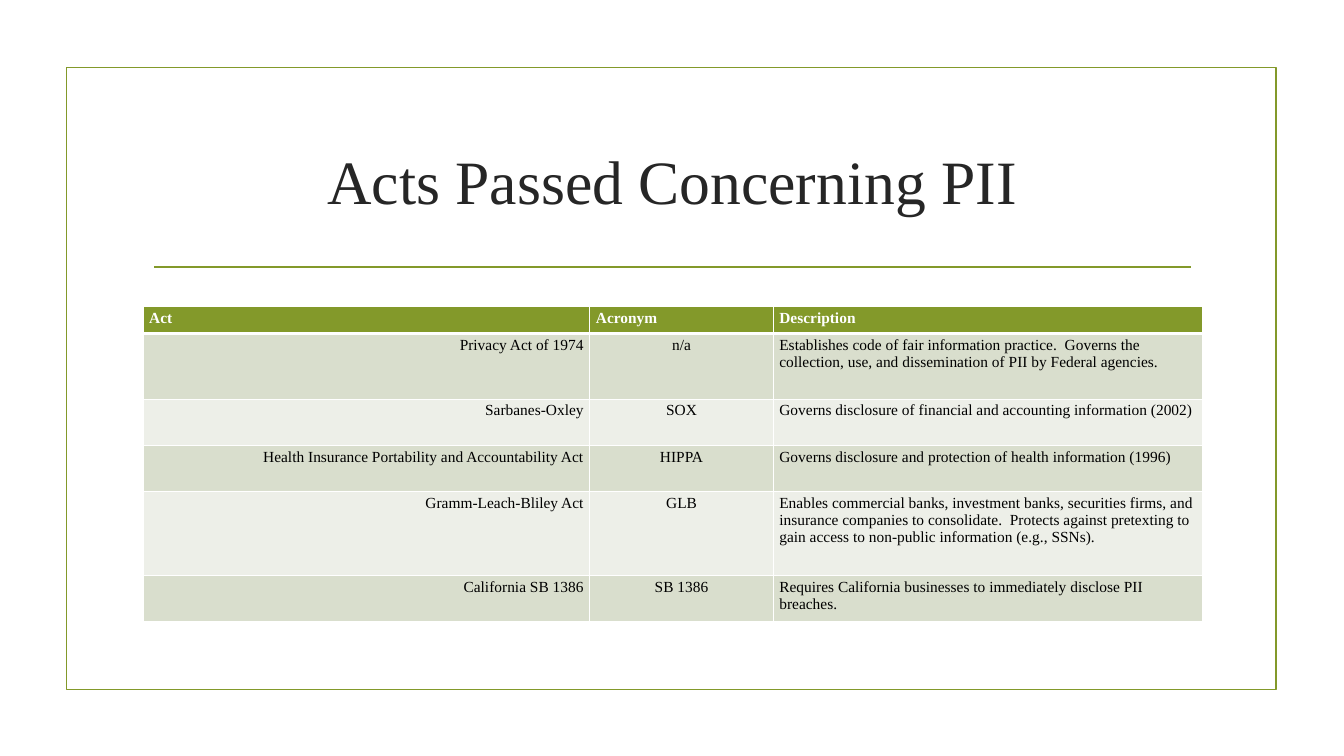
import dataclasses

import pptx
import pptx.dml.color
import pptx.enum.shapes
import pptx.enum.text
import pptx.oxml.ns
import pptx.util
from lxml import etree
from pptx.util import Inches

ALIGN = pptx.enum.text.PP_ALIGN


@dataclasses.dataclass(frozen=True)
class Theme:
    font: str = "Times New Roman"
    green: str = "83992A"
    title: str = "262626"
    body: str = "000000"
    white: str = "FFFFFF"
    bands: tuple = ("D9DECD", "EDEFE8")
    title_size: int = 44
    table_size: int = 11
    rule: float = 1.25
    cell_rule: int = 1
    header_rule: int = 3


THEME = Theme()

COLUMN_WIDTHS = (4.43, 1.82, 4.26)
COLUMN_ALIGNS = (ALIGN.RIGHT, ALIGN.CENTER, ALIGN.LEFT)
ROW_HEIGHTS = (0.27, 0.65, 0.46, 0.46, 0.83, 0.46)
ACTS = (
    ("Act", "Acronym", "Description"),
    ("Privacy Act of 1974", "n/a",
     "Establishes code of fair information practice.  Governs the collection, "
     "use, and dissemination of PII by Federal agencies."),
    ("Sarbanes-Oxley", "SOX",
     "Governs disclosure of financial and accounting information (2002)"),
    ("Health Insurance Portability and Accountability Act", "HIPPA",
     "Governs disclosure and protection of health information (1996)"),
    ("Gramm-Leach-Bliley Act", "GLB",
     "Enables commercial banks, investment banks, securities firms, and "
     "insurance companies to consolidate.  Protects against pretexting to "
     "gain access to non-public information (e.g., SSNs)."),
    ("California SB 1386", "SB 1386",
     "Requires California businesses to immediately disclose PII breaches."),
)


def rgb(value):
    return pptx.dml.color.RGBColor.from_string(value)


def set_line(line):
    line.color.rgb = rgb(THEME.green)
    line.width = pptx.util.Pt(THEME.rule)


def write(frame, text, size, color, align, bold=False):
    para = frame.paragraphs[0]
    para.alignment = align
    span = para.add_run()
    span.text = text
    span.font.name = THEME.font
    span.font.size = pptx.util.Pt(size)
    span.font.bold = bold
    span.font.color.rgb = rgb(color)


def add_frame(slide):
    frame = slide.shapes.add_shape(
        pptx.enum.shapes.MSO_SHAPE.RECTANGLE,
        Inches(0.66), Inches(0.67), Inches(12), Inches(6.17))
    frame.shadow.inherit = False
    frame.fill.background()
    set_line(frame.line)


def add_divider(slide):
    divider = slide.shapes.add_connector(
        pptx.enum.shapes.MSO_CONNECTOR.STRAIGHT,
        Inches(1.53), Inches(2.65), Inches(11.81), Inches(2.65))
    set_line(divider.line)
    properties = divider._element.spPr
    etree.SubElement(properties, pptx.oxml.ns.qn("a:effectLst"))


def add_title(slide, text):
    box = slide.shapes.add_textbox(
        Inches(1.42), Inches(1.07), Inches(10.5), Inches(1.43))
    box.text_frame.word_wrap = True
    box.text_frame.vertical_anchor = pptx.enum.text.MSO_ANCHOR.MIDDLE
    write(box.text_frame, text, THEME.title_size, THEME.title, ALIGN.CENTER)


def add_borders(cell, top, bottom):
    qn = pptx.oxml.ns.qn
    properties = cell._tc.get_or_add_tcPr()
    widths = {"L": THEME.cell_rule, "R": THEME.cell_rule, "T": top, "B": bottom}
    for side, width in widths.items():
        border = etree.SubElement(properties, qn(f"a:ln{side}"),
                                  w=str(pptx.util.Pt(width)))
        fill = etree.SubElement(border, qn("a:solidFill"))
        etree.SubElement(fill, qn("a:srgbClr"), val=THEME.white)


def style_cell(cell, row, column, text):
    header = row == 0
    cell.margin_left = cell.margin_right = Inches(0.06)
    cell.margin_top = cell.margin_bottom = Inches(0.03)
    add_borders(cell,
                THEME.header_rule if row == 1 else THEME.cell_rule,
                THEME.header_rule if header else THEME.cell_rule)
    cell.fill.solid()
    cell.fill.fore_color.rgb = rgb(
        THEME.green if header else THEME.bands[(row - 1) % 2])
    write(cell.text_frame, text, THEME.table_size,
          THEME.white if header else THEME.body,
          ALIGN.LEFT if header else COLUMN_ALIGNS[column], bold=header)


def add_acts_table(slide):
    table = slide.shapes.add_table(
        len(ACTS), len(COLUMN_WIDTHS), Inches(1.42), Inches(3.04),
        Inches(sum(COLUMN_WIDTHS)), Inches(sum(ROW_HEIGHTS))).table
    for column, width in zip(table.columns, COLUMN_WIDTHS):
        column.width = Inches(width)
    for row, height in zip(table.rows, ROW_HEIGHTS):
        row.height = Inches(height)
    for row, texts in enumerate(ACTS):
        for column, text in enumerate(texts):
            style_cell(table.cell(row, column), row, column, text)


def main():
    deck = pptx.Presentation()
    deck.slide_width, deck.slide_height = Inches(13.33), Inches(7.5)
    slide = deck.slides.add_slide(deck.slide_layouts[6])

    # Border and divider
    add_frame(slide)
    add_divider(slide)

    # Title and table of acts
    add_title(slide, "Acts Passed Concerning PII")
    add_acts_table(slide)

    deck.save("out.pptx")


if __name__ == "__main__":
    main()
